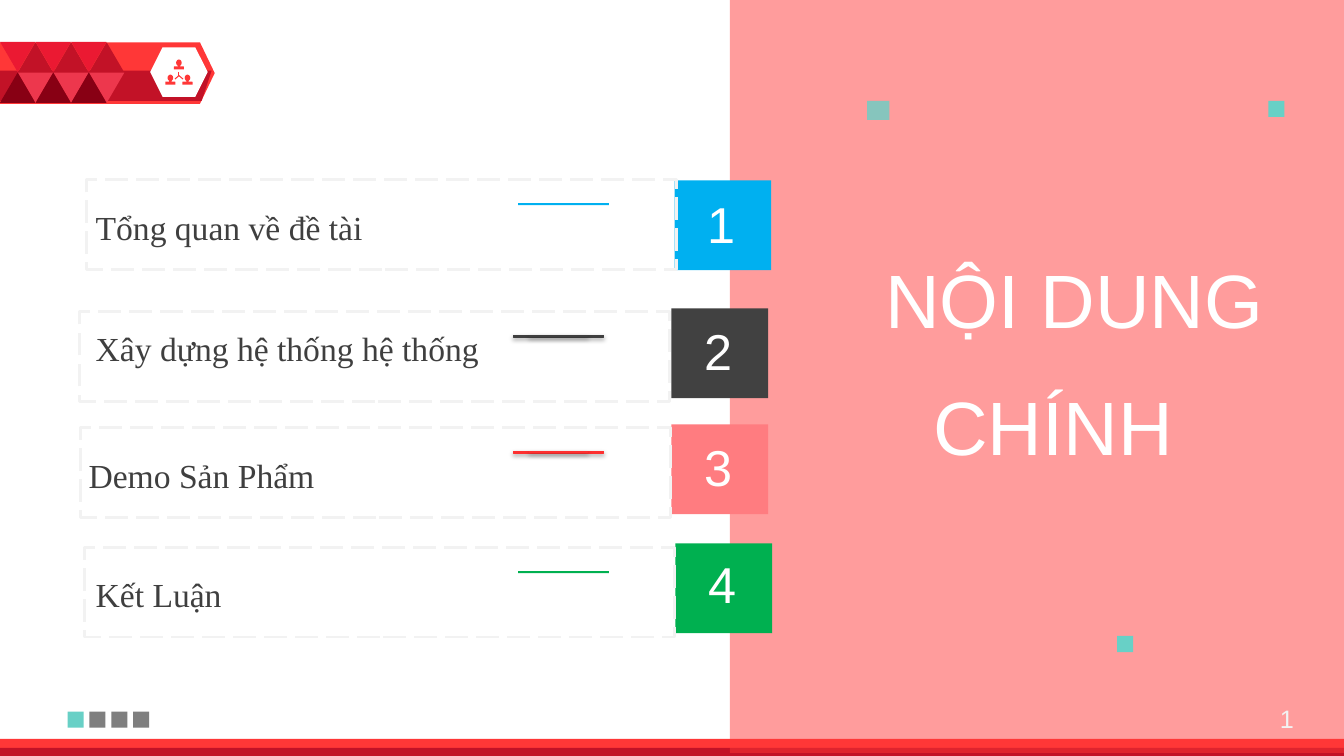
from lxml import etree
from pptx import Presentation
from pptx.dml.color import RGBColor
from pptx.enum.dml import MSO_LINE
from pptx.enum.shapes import MSO_CONNECTOR, MSO_SHAPE as Kind
from pptx.enum.text import MSO_ANCHOR, MSO_AUTO_SIZE, PP_ALIGN as Align
from pptx.oxml import parse_xml
from pptx.oxml.ns import nsdecls, qn
from pptx.util import Inches, Pt

WHITE = RGBColor(0xFF, 0xFF, 0xFF)
RED = RGBColor(0xFF, 0x37, 0x37)
DARK = RGBColor(0xC2, 0x12, 0x27)
CRIMSON = RGBColor(0xEB, 0x19, 0x32)
ROSE = RGBColor(0xED, 0x37, 0x4D)
MAROON = RGBColor(0x88, 0x00, 0x14)
TEAL = RGBColor(0x68, 0xD0, 0xC6)
GRAY = RGBColor(0x7F, 0x7F, 0x7F)
PALE = RGBColor(0xF2, 0xF2, 0xF2)
INK = RGBColor(0x3F, 0x3F, 0x3F)
COAL = RGBColor(0x41, 0x41, 0x41)
BLUE = RGBColor(0x00, 0xB0, 0xF0)
PINK = RGBColor(0xFF, 0x7C, 0x80)
SCARLET = RGBColor(0xFD, 0x30, 0x30)
GREEN = RGBColor(0x00, 0xB0, 0x50)

deck = Presentation()
deck.slide_width, deck.slide_height = Inches(13.33), Inches(7.5)
CELL = deck.slide_height // 75
COLS, ROWS = 133.3, 75
slide = deck.slides.add_slide(deck.slide_layouts[5])
shapes = slide.shapes


def draw(kind, x, y, w, h, color, alpha=None):
    shape = shapes.add_shape(kind, *[int(n * CELL) for n in (x, y, w, h)])
    shape.shadow.inherit = False
    shape.line.fill.background()
    if color is None:
        shape.fill.background()
    else:
        shape.fill.solid()
        shape.fill.fore_color.rgb = color
    if alpha:
        tint = shape.fill._xPr.find(qn("a:solidFill"))[0]
        etree.SubElement(tint, qn("a:alpha")).set("val", str(alpha * 1000))
    return shape


def write(text, x, y, w, h, size, color, align, font="Arial", box=None):
    place = [int(n * CELL) for n in (x, y, w, h)]
    if box is None:
        box = shapes.add_textbox(*place)
    box.left, box.top, box.width, box.height = place
    frame = box.text_frame
    frame.text = text
    frame.word_wrap = True
    frame.auto_size = MSO_AUTO_SIZE.NONE
    frame.vertical_anchor = MSO_ANCHOR.TOP
    par = frame.paragraphs[0]
    par.alignment = align
    par.font.name, par.font.size = font, Pt(size)
    par.font.color.rgb = color


badge = draw(Kind.PENTAGON, 0, 4.2, 21.3, 6.1, RED)
badge.adjustments[0] = 0.24
path = shapes.build_freeform(0, 7.2, scale=CELL)
path.add_line_segments([(21.3, 7.2), (19.8, 10.2), (0, 10.2)])
shade = path.convert_to_shape()
shade.shadow.inherit = False
shade.fill.solid()
shade.fill.fore_color.rgb = DARK
shade.line.fill.background()
draw(Kind.HEXAGON, 14.9, 4.7, 5.7, 4.9, WHITE)

for x, y in ((17.75, 5.9), (16.9, 7.4), (18.6, 7.4)):
    draw(Kind.OVAL, x - 0.28, y, 0.56, 0.65, RED)
    draw(Kind.ROUND_2_SAME_RECTANGLE, x - 0.5, y + 0.7, 1, 0.3, RED)
    draw(Kind.RECTANGLE, x - 0.12, y + 0.5, 0.24, 0.3, RED)
for x, y in ((17.75, 7.1), (17.35, 7.85), (18.15, 7.85)):
    ends = [int(n * CELL) for n in (17.75, 7.5, x, y)]
    spoke = shapes.add_connector(MSO_CONNECTOR.STRAIGHT, *ends)
    spoke.line.color.rgb, spoke.line.width = RED, Pt(0.75)
    etree.SubElement(spoke._element.spPr, qn("a:effectLst"))

for i in range(3):
    x = i * 3.53
    for dx, y, color, turn in ((0, 4.15, CRIMSON, 180), (1.77, 4.2, DARK, 0),
                               (1.77, 7.2, ROSE, 180), (0, 7.2, MAROON, 0)):
        draw(Kind.ISOSCELES_TRIANGLE, x + dx, y, 3.5, 3, color).rotation = turn

draw(Kind.RECTANGLE, 0, 73.3, COLS, 1.6, RED)
draw(Kind.RECTANGLE, 0, 74.2, COLS, 0.8, DARK)
draw(Kind.RECTANGLE, 72.4, -0.3, 60.9, ROWS, RED, 49)

title = shapes.title
shapes._spTree.append(title._element)
write("NỘI DUNG", 59.6, 24.6, 66.7, 10.1, 54, WHITE, Align.RIGHT, box=title)
write("CHÍNH", 50.6, 37.2, 66.7, 10.1, 54, WHITE, Align.RIGHT)

draw(Kind.RECTANGLE, 86, 10, 2.2, 1.9, TEAL, 80)
for x, y in ((125.8, 10), (110.8, 63.1)):
    draw(Kind.RECTANGLE, x, y, 1.6, 1.6, TEAL)
for i in range(4):
    draw(Kind.RECTANGLE, 6.7 + i * 2.17, 70.6, 1.6, 1.6, GRAY if i else TEAL)

items = [
    ("Tổng quan về đề tài", 8.5, 20, 8.6, 17.8, 66.9, 17.9, 18.7, BLUE, None),
    ("Xây dựng hệ thống hệ thống", 8.5, 32, 7.9, 30.9, 66.6, 30.6, 31.3, COAL, INK),
    ("Demo Sản Phẩm", 7.8, 44.6, 8, 42.4, 66.6, 42.1, 42.8, PINK, SCARLET),
    ("Kết Luận", 8.5, 56.4, 8.4, 54.3, 67, 53.9, 54.4, GREEN, None),
]
for i, (text, tx, ty, bx, by, x, y, dy, color, edge) in enumerate(items, 1):
    draw(Kind.RECTANGLE, x, y, 9.6, 8.9, color)
    write(str(i), x + 1.2, dy, 7, 7.1, 36, WHITE, Align.CENTER)
    write(text, tx, ty, 53.1, 5, 24, INK, Align.LEFT, "Times New Roman")
    mid = 55.4 if edge else 55.9
    for w, h in ((9, 0.2), (5.8, 0.1)):
        bar = draw(Kind.RECTANGLE, mid - w / 2, by + 2.45 - h / 2, w, h, edge or color)
        if edge:
            bar.line.color.rgb, bar.line.width = edge, Pt(0.75)
            glow = bar._element.spPr.find(qn("a:effectLst"))
            glow.append(parse_xml(
                f'<a:outerShdw {nsdecls("a")} blurRad="39370" dist="22860" dir="5400000" '
                'rotWithShape="0"><a:srgbClr val="000000"><a:alpha val="35000"/>'
                '</a:srgbClr></a:outerShdw>'))
    frame = draw(Kind.RECTANGLE, bx, by, 58.5, 8.9, None)
    frame.line.color.rgb, frame.line.width = PALE, Pt(2)
    frame.line.dash_style = MSO_LINE.LONG_DASH

write("1", 123.4, 69.3, 5.9, 4, 18, PALE, Align.RIGHT)

deck.save("out.pptx")
